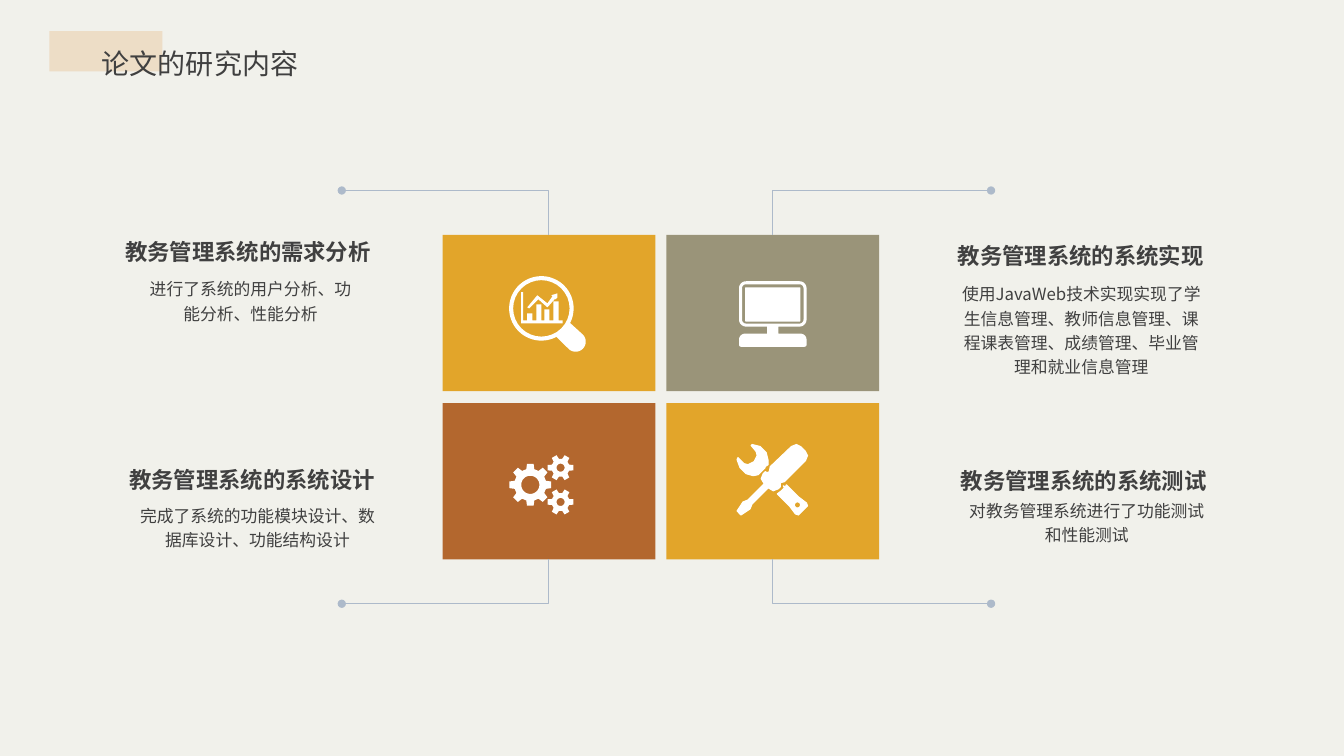
from dataclasses import dataclass
from math import cos, pi, radians, sin

from lxml import etree
from pptx import Presentation
from pptx.dml.color import RGBColor
from pptx.enum.shapes import MSO_CONNECTOR, MSO_SHAPE
from pptx.enum.text import MSO_ANCHOR, MSO_AUTO_SIZE, PP_ALIGN
from pptx.oxml.ns import qn
from pptx.util import Inches, Pt

RECT = MSO_SHAPE.RECTANGLE
ELBOW = MSO_CONNECTOR.ELBOW
TOP, BOTTOM = MSO_ANCHOR.TOP, MSO_ANCHOR.BOTTOM
FIXED = MSO_AUTO_SIZE.NONE
CENTER, JUSTIFY = PP_ALIGN.CENTER, PP_ALIGN.JUSTIFY


@dataclass(frozen=True)
class Theme:
    font: str = "Noto Sans CJK SC"
    paper: str = "F1F1EB"
    band: str = "EDDDC6"
    ink: str = "404040"
    gold: str = "E2A52A"
    olive: str = "9A9479"
    rust: str = "B3672E"
    wire: str = "ADBACA"
    white: str = "FFFFFF"
    title: int = 20
    head: int = 16
    body: int = 12
    thin: float = 0.75


def color(code):
    return RGBColor.from_string(code)


def arc(x, y, r, start=0, end=360, count=32):
    angles = [radians(start + (end - start) * i / count) for i in range(count + 1)]
    return [(x + r * cos(a), y + r * sin(a)) for a in angles]


def panel(x, y, w, h, top, base):
    right, foot = x + w, y + h
    return (arc(x + top, y + top, top, 180, 270, 8)
            + arc(right - top, y + top, top, 270, 360, 8)
            + arc(right - base, foot - base, base, 0, 90, 8)
            + arc(x + base, foot - base, base, 90, 180, 8))


def gear(x, y, tip, root, hole, teeth):
    step = 2 * pi / teeth
    edge = [(root, -0.32), (tip, -0.2), (tip, 0.2), (root, 0.32)]
    rim = [(x + r * cos((i + f) * step), y + r * sin((i + f) * step))
           for i in range(teeth) for r, f in edge]
    return [rim, arc(x, y, hole)]


class Deck:
    def __init__(self, theme):
        self.theme = theme
        self.file = Presentation()
        self.file.slide_width = Inches(13.33)
        self.file.slide_height = Inches(7.5)
        self.slide = self.file.slides.add_slide(self.file.slide_layouts[5])
        self.shapes = self.slide.shapes
        fill = self.slide.background.fill
        fill.solid()
        fill.fore_color.rgb = color(theme.paper)

    def paint(self, shape, fill, line=None):
        shape.shadow.inherit = False
        shape.fill.solid()
        shape.fill.fore_color.rgb = color(fill)
        if line:
            shape.line.color.rgb = color(line)
            shape.line.width = Pt(self.theme.thin)
        else:
            shape.line.fill.background()

    def rect(self, x, y, w, h, fill):
        shape = self.shapes.add_shape(RECT, Inches(x), Inches(y), Inches(w), Inches(h))
        self.paint(shape, fill)
        return shape

    def label(self, shape, text, size, space=1.0, bold=False, align=CENTER,
              anchor=TOP, wrap=True):
        frame = shape.text_frame
        frame.text = text
        frame.word_wrap = wrap
        frame.auto_size = FIXED
        frame.vertical_anchor = anchor
        line = frame.paragraphs[0]
        line.alignment = align
        line.line_spacing = space
        for run in line.runs:
            font = run.font
            font.name = self.theme.font
            font.size = Pt(size)
            font.bold = bold
            font.color.rgb = color(self.theme.ink)
            east = etree.SubElement(run._r.get_or_add_rPr(), qn("a:ea"))
            east.set("typeface", self.theme.font)

    def title(self, text, x, y, w, h):
        shape = self.shapes.title
        shape.left, shape.top = Inches(x), Inches(y)
        shape.width, shape.height = Inches(w), Inches(h)
        self.label(shape, text, self.theme.title, 1.5, align=JUSTIFY)

    def text(self, text, x, y, w, h, size, **style):
        shape = self.shapes.add_textbox(Inches(x), Inches(y), Inches(w), Inches(h))
        frame = shape.text_frame
        frame.margin_left = frame.margin_right = 0
        frame.margin_top = frame.margin_bottom = 0
        self.label(shape, text, size, **style)

    def wire(self, x, y, to_x, to_y):
        link = self.shapes.add_connector(ELBOW, Inches(x), Inches(y),
                                         Inches(to_x), Inches(to_y))
        link.line.color.rgb = color(self.theme.wire)
        link.line.width = Pt(self.theme.thin)
        props = link._element.spPr
        props.find(qn("a:prstGeom")).set("prst", "bentConnector2")
        head = etree.SubElement(props.find(qn("a:ln")), qn("a:headEnd"))
        head.set("type", "oval")
        etree.SubElement(props, qn("a:effectLst"))

    def icon(self, loops, line=None):
        loops = [[(Inches(x), Inches(y)) for x, y in loop] for loop in loops]
        pen = self.shapes.build_freeform(*loops[0][0])
        pen.add_line_segments(loops[0][1:])
        for loop in loops[1:]:
            pen.move_to(*loop[0])
            pen.add_line_segments(loop[1:])
        self.paint(pen.convert_to_shape(), self.theme.white, line)


theme = Theme()
deck = Deck(theme)
band = deck.rect(0.49, 0.31, 1.12, 0.4, theme.band)
band._element.getparent().insert(2, band._element)
deck.title("论文的研究内容", 0.91, 0.24, 3.5, 0.55)

wide, high = 2.11, 1.55
cols, rows = (4.39, 6.61), (2.33, 4.0)
ends, rails = (3.39, 9.83), (1.89, 5.99)
fills = ((theme.gold, theme.olive), (theme.rust, theme.gold))
for r, y in enumerate(rows):
    for c, x in enumerate(cols):
        deck.rect(x, y, wide, high, fills[r][c])
        deck.wire(ends[c], rails[r], x + wide / 2, y + r * high)

notes = [
    ("教务管理系统的需求分析", (1.11, 2.11, 2.7, 0.52),
     "进行了系统的用户分析、功能分析、性能分析", (1.43, 2.73, 2.11, 0.53)),
    ("教务管理系统的系统设计", (1.06, 4.37, 2.88, 0.52),
     "完成了系统的功能模块设计、数据库设计、功能结构设计", (1.36, 4.98, 2.39, 0.46)),
    ("教务管理系统的系统实现", (9.51, 2.17, 2.42, 0.5),
     "使用JavaWeb技术实现实现了学生信息管理、教师信息管理、"
     "课程课表管理、成绩管理、毕业管理和就业信息管理", (9.53, 2.78, 2.39, 0.84)),
    ("教务管理系统的系统测试", (9.41, 4.34, 2.68, 0.56),
     "对教务管理系统进行了功能测试和性能测试", (9.6, 4.93, 2.36, 0.54)),
]
for head, spot, body, area in notes:
    deck.text(head, *spot, theme.head, bold=True, anchor=BOTTOM, wrap=False)
    deck.text(body, *area, theme.body, space=1.2)

deck.icon(gear(5.26, 4.81, 0.21, 0.16, 0.09, 8)
          + gear(5.56, 4.64, 0.13, 0.09, 0.04, 6)
          + gear(5.56, 4.98, 0.13, 0.09, 0.04, 6))

lens = arc(5.37, 3.06, 0.32, 62, 387, 60) + arc(5.71, 3.39, 0.1, -45, 135)
chart = [(5.17, 2.9), (5.19, 2.9), (5.19, 3.18)]
for x, y in ((5.23, 3.11), (5.32, 3.02), (5.4, 3.07), (5.49, 2.99)):
    chart += [(x, 3.18), (x, y), (x + 0.05, y), (x + 0.05, 3.18)]
chart += [(5.58, 3.18), (5.58, 3.21), (5.17, 3.21)]
trend = [(5.34, 2.97), (5.25, 3.06), (5.23, 3.05), (5.33, 2.93), (5.43, 3.01),
         (5.48, 2.94), (5.47, 2.93), (5.53, 2.91), (5.53, 2.95), (5.51, 2.97),
         (5.51, 2.96), (5.43, 3.05)]
deck.icon([lens, arc(5.37, 3.06, 0.28), chart, trend])

deck.icon([panel(7.33, 2.79, 0.67, 0.45, 0.07, 0.07),
           panel(7.36, 2.82, 0.61, 0.39, 0.04, 0.04),
           panel(7.39, 2.85, 0.55, 0.34, 0.01, 0.01),
           panel(7.61, 3.24, 0.11, 0.07, 0, 0),
           panel(7.33, 3.31, 0.67, 0.13, 0.06, 0.02)])

driver = [(7.99, 4.48), (7.94, 4.43), (7.9, 4.41), (7.85, 4.43), (7.64, 4.63),
          (7.63, 4.68), (7.61, 4.69), (7.59, 4.68), (7.57, 4.7), (7.55, 4.75),
          (7.58, 4.8), (7.42, 4.96), (7.37, 4.98), (7.31, 5.07), (7.35, 5.11),
          (7.44, 5.05), (7.46, 5), (7.62, 4.84), (7.67, 4.87), (7.72, 4.85),
          (7.74, 4.83), (7.74, 4.79), (7.78, 4.78), (7.99, 4.57), (8.01, 4.52)]
jaw = [(7.57, 4.66), (7.59, 4.64), (7.59, 4.63), (7.62, 4.61), (7.62, 4.57),
       (7.6, 4.49), (7.54, 4.43), (7.46, 4.41), (7.45, 4.42), (7.5, 4.48),
       (7.51, 4.52), (7.48, 4.58), (7.42, 4.61), (7.38, 4.6), (7.32, 4.54),
       (7.31, 4.56), (7.34, 4.64), (7.4, 4.7), (7.47, 4.72), (7.52, 4.71)]
grip = [(7.77, 4.82), (7.78, 4.84), (7.75, 4.87), (7.71, 4.9), (7.83, 5.02),
        (7.89, 5.1), (7.92, 5.11), (8.01, 5.02), (8, 4.99), (7.92, 4.93),
        (7.8, 4.81), (7.79, 4.83)]
deck.icon([driver, jaw, grip, arc(7.91, 5.01, 0.03)], theme.white)

deck.file.save("out.pptx")
